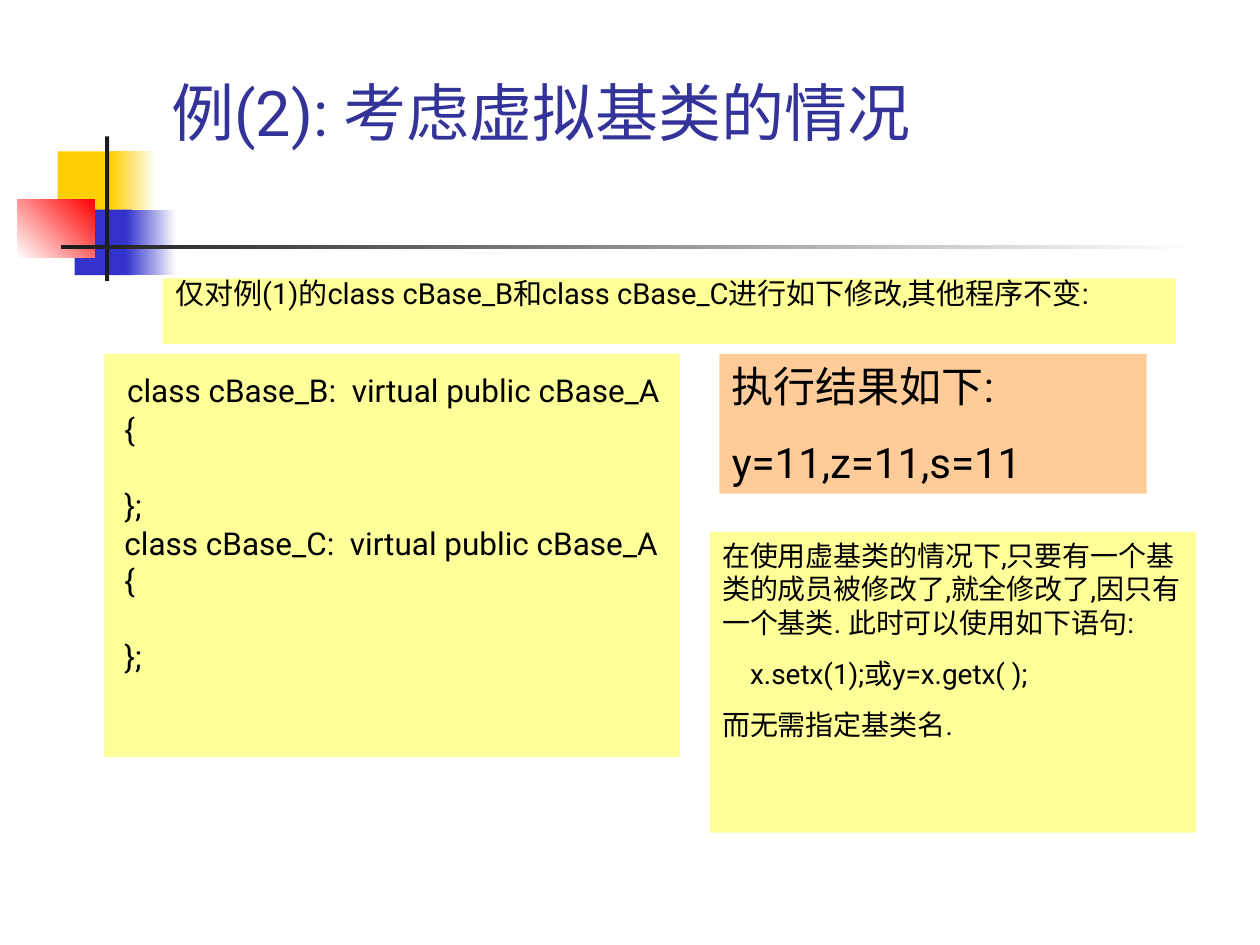
"""Build a slide on virtual base classes in C++."""
from pptx import Presentation
from pptx.dml.color import RGBColor
from pptx.enum.shapes import MSO_SHAPE
from pptx.enum.text import MSO_ANCHOR
from pptx.util import Pt

RECTANGLE = MSO_SHAPE.RECTANGLE
TOP, BOTTOM = MSO_ANCHOR.TOP, MSO_ANCHOR.BOTTOM
FONT = "Roboto"
COLORS = {
    "gold": "FFCF01", "blue": "3333CC", "red": "FF0000", "dark": "1C1C1C",
    "white": "FFFFFF", "title": "333399", "black": "000000",
    "yellow": "FFFF99", "orange": "FFCC99",
}


def color(name):
    return RGBColor.from_string(COLORS[name])


def add_box(place, fill, angle=0):
    box = page.shapes.add_shape(RECTANGLE, *map(Pt, place))
    box.shadow.inherit = False
    box.line.fill.background()
    if fill is None:
        box.fill.background()
    elif isinstance(fill, tuple):
        box.fill.gradient()
        box.fill.gradient_angle = angle
        for stop, name in zip(box.fill.gradient_stops, fill):
            stop.color.rgb = color(name)
    else:
        box.fill.solid()
        box.fill.fore_color.rgb = color(fill)
    return box


deck = Presentation()
deck.slide_width, deck.slide_height = Pt(720), Pt(540)
page = deck.slides.add_slide(deck.slide_layouts[6])

ornaments = [
    ((33, 86.5, 34.5, 37.5), "gold", 0),
    ((63.2, 86.5, 26, 37.5), ("gold", "white"), 0),
    ((42.6, 119.8, 33, 37.4), "blue", 0),
    ((72, 119.8, 28.8, 37.4), ("blue", "white"), 0),
    ((9.8, 113.8, 44.3, 33.4), ("white", "red"), 45),
    ((60, 78, 2.4, 82.6), "dark", 0),
    ((34.8, 140.1, 648, 2.5), ("dark", "white"), 0),
]
for place, fill, angle in ornaments:
    add_box(place, fill, angle)

panels = [
    {"place": (90.7, 48.2, 613.4, 40.3), "fill": None, "anchor": BOTTOM,
     "size": 36, "color": "title", "lines": [("例(2): 考虑虚拟基类的情况", {})]},
    {"place": (93.1, 159.1, 578.9, 37.4), "fill": "yellow", "size": 16.6,
     "lines": [("仅对例(1)的class cBase_B和class cBase_C进行如下修改,其他程序不变:",
                {"line_spacing": 0.7})]},
    {"place": (59.6, 202.2, 329, 230.4), "fill": "yellow", "size": 18,
     "lead": (" ", 24),
     "lines": [("class cBase_B:  virtual public cBase_A", {}),
               (" {", {}),
               (" };", {"space_before": Pt(21.5)}),
               (" class cBase_C:  virtual public cBase_A", {}),
               (" {", {}),
               (" };", {"space_before": Pt(21.5)})]},
    {"place": (411.1, 202.2, 244.1, 79.9), "fill": "orange", "size": 24,
     "lines": [("执行结果如下:", {}),
               ("y=11,z=11,s=11", {"space_before": Pt(15)})]},
    {"place": (405.6, 304, 277.9, 171.8), "fill": "yellow", "size": 16,
     "lines": [("在使用虚基类的情况下,只要有一个基类的成员被修改了,就全修改了,"
                "因只有一个基类. 此时可以使用如下语句:", {}),
               ("x.setx(1);或y=x.getx( );", {"space_before": Pt(10), "indent": Pt(16)}),
               ("而无需指定基类名.", {"space_before": Pt(10)})]},
]
for panel in panels:
    frame = add_box(panel["place"], panel["fill"]).text_frame
    frame.word_wrap = True
    frame.vertical_anchor = panel.get("anchor", TOP)
    for number, (text, layout) in enumerate(panel["lines"]):
        para = frame.add_paragraph() if number else frame.paragraphs[0]
        properties = para._p.get_or_add_pPr()
        properties.set("algn", "l")
        for name, value in layout.items():
            if name == "indent":
                properties.set("marL", "0")
                properties.set("indent", str(value))
            else:
                setattr(para, name, value)
        pieces = [(text, panel["size"])]
        if "lead" in panel and number == 0:
            pieces.insert(0, panel["lead"])
        for words, size in pieces:
            span = para.add_run()
            span.text = words
            for name, value in {"name": FONT, "size": Pt(size)}.items():
                setattr(span.font, name, value)
            span.font.color.rgb = color(panel.get("color", "black"))

deck.save("out.pptx")
